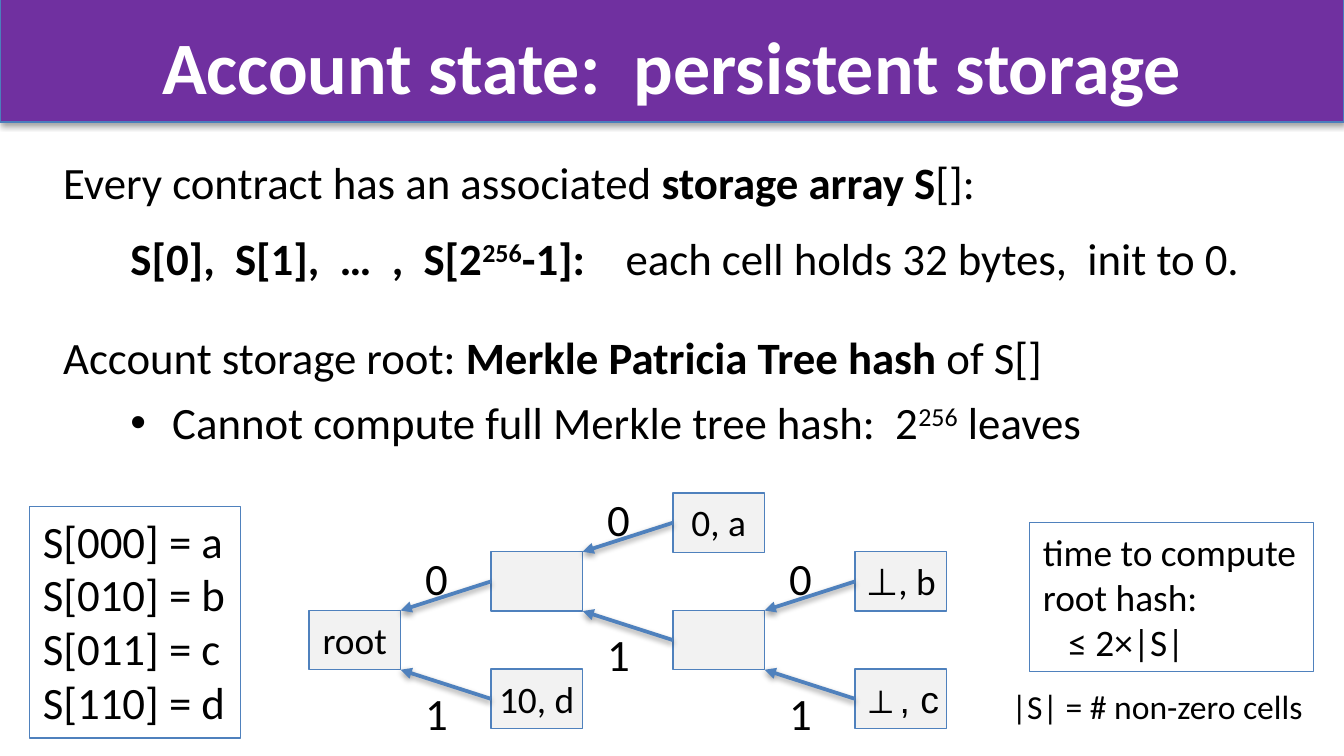
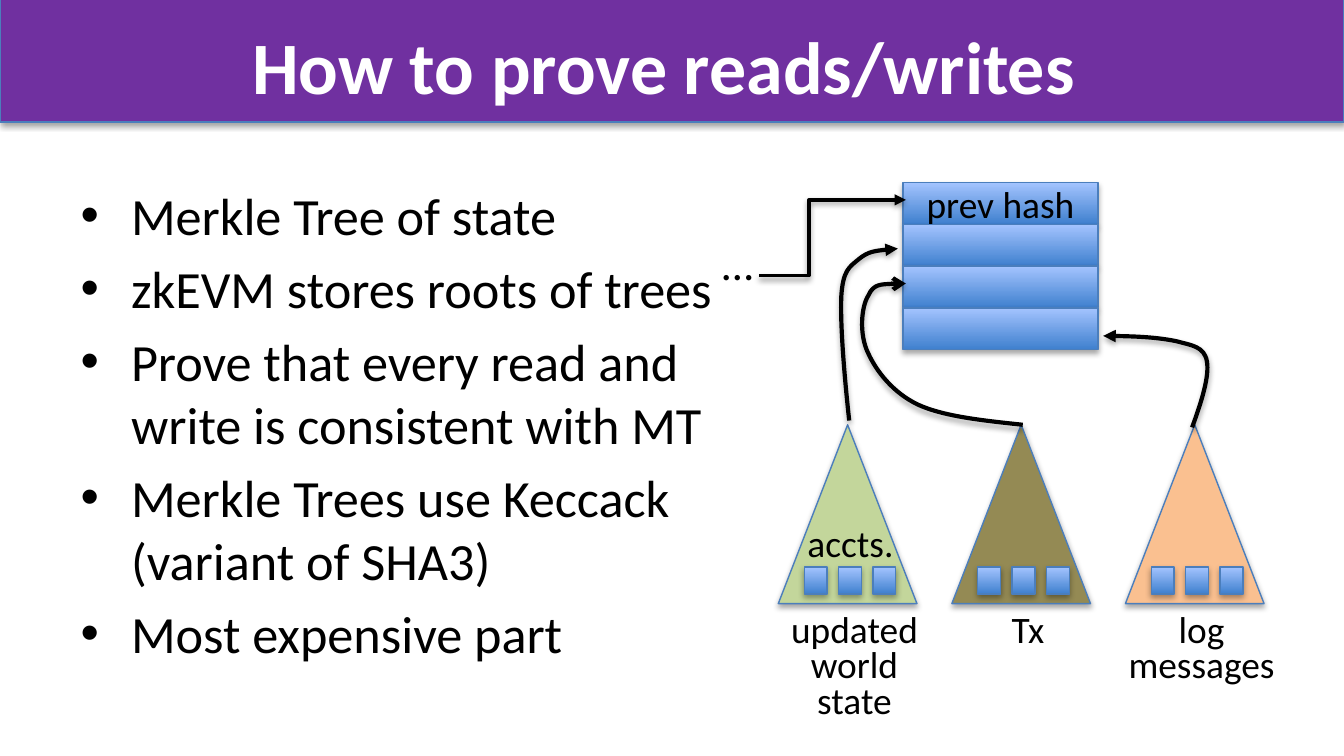
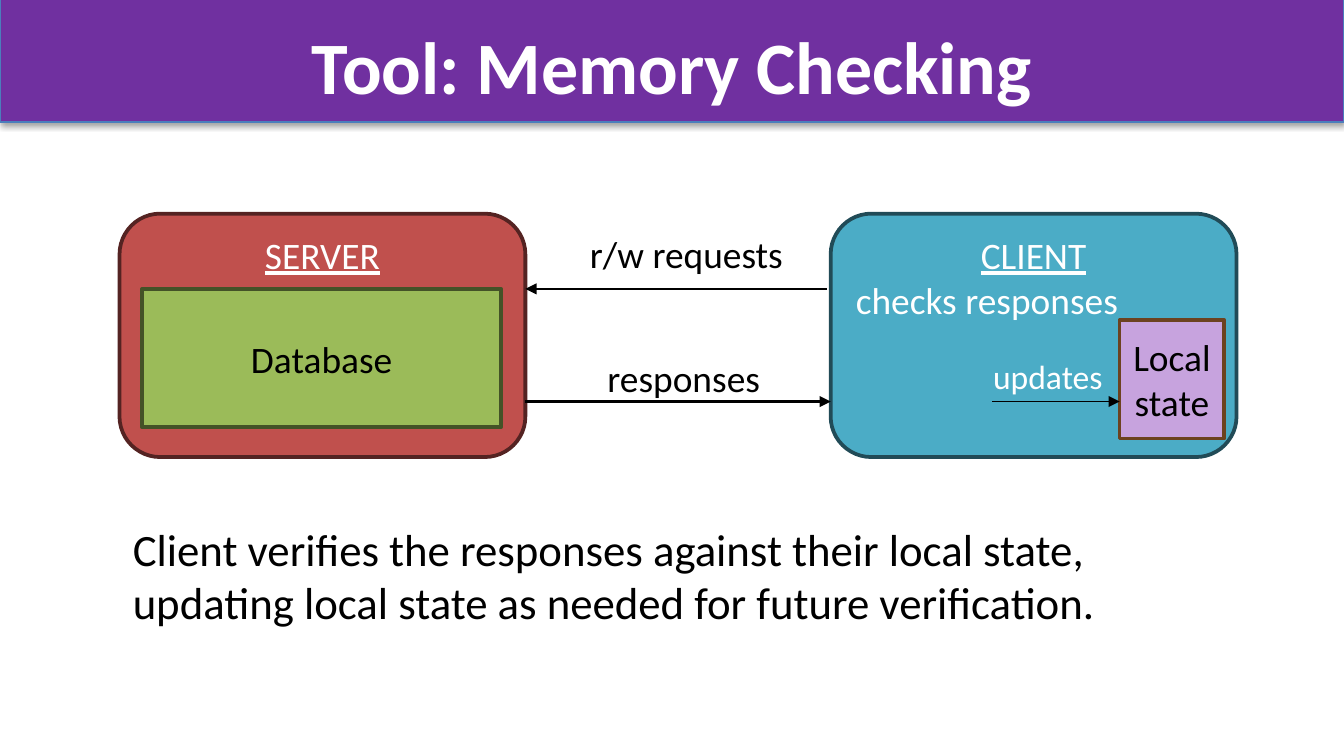
from lxml.etree import SubElement
from pptx import Presentation
from pptx.dml.color import RGBColor
from pptx.enum.shapes import MSO_CONNECTOR as Connector, MSO_SHAPE as Preset
from pptx.enum.text import MSO_ANCHOR as Anchor, MSO_AUTO_SIZE as AutoSize, PP_ALIGN as Align
from pptx.oxml.ns import qn
from pptx.util import Cm, Pt

COLORS = {
    "black": "000000", "white": "FFFFFF", "band": "7030A0", "edge": "4B7EBC",
    "blue": "4F81BD", "node": "F2F2F2", "block_low": "3F80CE", "block_high": "A4C4FF",
    "state": "C3D69B", "transactions": "948A54", "logs": "FAC090",
    "server": "C0504D", "server_edge": "542322", "client": "4BACC6", "client_edge": "214B57",
    "database": "9BBB59", "database_edge": "445227", "local": "C7A3DE", "local_edge": "6C421F",
}
FONT = "Calibri"
TITLE_BOX = (1.27, 0.36, 22.86, 1.73)
BAND_BOX = (0, -0.03, 25.4, 2.34)
SHAPE_SHADOW = (23000, 35000)
LINE_SHADOW = (20000, 38000)


def color(name):
    return RGBColor.from_string(COLORS[name])


def place(shape, box):
    shape.left, shape.top, shape.width, shape.height = map(Cm, box)


def style_run(run, size, ink="black", font=FONT, bold=None):
    run.font.size = Pt(size)
    run.font.name = font
    run.font.color.rgb = color(ink)
    run.font.bold = bold


def write(shape, text, size, ink="black", align=Align.LEFT, anchor=Anchor.TOP,
          wrap=False, font=FONT, bold=None, spacing=None):
    text_frame = shape.text_frame
    text_frame.text = text
    text_frame.word_wrap = wrap
    text_frame.vertical_anchor = anchor
    for paragraph in text_frame.paragraphs:
        paragraph.alignment = align
        paragraph.line_spacing = spacing
        for run in paragraph.runs:
            style_run(run, size, ink, font, bold)


def add_label(slide, box, text, size, **style):
    label = slide.shapes.add_textbox(*map(Cm, box))
    write(label, text, size, **style)
    return label


def add_shadow(effects, shadow):
    distance, alpha = shadow
    outer = SubElement(effects, qn("a:outerShdw"), blurRad="40000", dist=str(distance),
                       dir="5400000", rotWithShape="0")
    ink = SubElement(outer, qn("a:srgbClr"), val=COLORS["black"])
    SubElement(ink, qn("a:alpha"), val=str(alpha))


def finish_shape(shape, fill, edge, width, shadow):
    shape.shadow.inherit = False
    if fill == "gradient":
        shape.fill.gradient()
        shape.fill.gradient_angle = 90
        for stop, name in zip(shape.fill.gradient_stops, ("block_low", "block_high")):
            stop.color.rgb = color(name)
    elif fill:
        shape.fill.solid()
        shape.fill.fore_color.rgb = color(fill)
    else:
        shape.fill.background()
    shape.line.color.rgb = color(edge)
    shape.line.width = Pt(width)
    if shadow:
        add_shadow(shape.element.spPr.find(qn("a:effectLst")), shadow)


def add_box(slide, box, fill=None, edge="edge", width=0.75, preset=Preset.RECTANGLE, shadow=None):
    shape = slide.shapes.add_shape(preset, *map(Cm, box))
    finish_shape(shape, fill, edge, width, shadow)
    return shape


def add_arrowhead(line, end, kind="triangle"):
    SubElement(line._get_or_add_ln(), qn(f"a:{end}End"), type=kind)


def add_arrow(slide, start, end, ink="black", width=1.25, kind=Connector.STRAIGHT,
              arrow_end="tail", shadow=None):
    connector = slide.shapes.add_connector(kind, *map(Cm, (*start, *end)))
    connector.line.color.rgb = color(ink)
    connector.line.width = Pt(width)
    add_arrowhead(connector.line, arrow_end)
    effects = SubElement(connector.element.spPr, qn("a:effectLst"))
    if shadow:
        add_shadow(effects, shadow)
    return connector


def add_curve(slide, points, arrow):
    points = [(Cm(x), Cm(y)) for x, y in points]
    builder = slide.shapes.build_freeform(*points[0])
    builder.add_line_segments(points[1:], close=False)
    shape = builder.convert_to_shape()
    outline = next(shape.element.iter(qn("a:path")))
    segments = outline.findall(qn("a:lnTo"))
    for first in range(0, len(segments), 3):
        curve = SubElement(outline, qn("a:cubicBezTo"))
        for segment in segments[first:first + 3]:
            curve.append(segment[0])
            outline.remove(segment)
    finish_shape(shape, None, "black", 2.25, SHAPE_SHADOW)
    add_arrowhead(shape.line, "tail", arrow)


def add_slide(presentation, layout, title):
    slide = presentation.slides.add_slide(presentation.slide_layouts[layout])
    place(slide.shapes.title, TITLE_BOX)
    write(slide.shapes.title, title, 39.6, ink="white", align=Align.CENTER,
          anchor=Anchor.MIDDLE, bold=True)
    return slide


def add_master_band(presentation, slide):
    band = add_box(slide, BAND_BOX, "band", shadow=SHAPE_SHADOW)
    presentation.slide_master.shapes.element.insert(2, band.element)


def set_indent(paragraph, margin, first=0, bullet=None):
    properties = paragraph._p.get_or_add_pPr()
    properties.set("marL", str(Cm(margin)))
    properties.set("indent", str(Cm(first)))
    if bullet:
        SubElement(properties, qn("a:buFont"), typeface="Arial")
        SubElement(properties, qn("a:buChar"), char=bullet)
    else:
        SubElement(properties, qn("a:buNone"))


def fill_storage_body(body, box):
    place(body, box)
    text_frame = body.text_frame
    text_frame.auto_size = AutoSize.NONE
    lines = [
        ((0,), None, [("Every contract has an associated ", ""), ("storage array S", "b"),
                      ("[]:", "")]),
        ((1.27,), 12.2, [("S[0],  S[1],  …  ,  S[2", "b"), ("256", "b^"), ("-1]:    ", "b"),
                         ("each cell holds 32 bytes,  init to 0.", "")]),
        ((0,), 24.2, [("Account storage root: ", ""), ("Merkle Patricia Tree hash ", "b"),
                      ("of S[]", "")]),
        ((2.06, -0.79, "•"), 6.2, [("Cannot compute full Merkle tree hash:  2", ""),
                                   ("256", "^"), (" leaves", "")]),
    ]
    for number, (indent, space, pieces) in enumerate(lines):
        paragraph = text_frame.add_paragraph() if number else text_frame.paragraphs[0]
        paragraph.level = 1 if len(indent) > 1 else 0
        set_indent(paragraph, *indent)
        if space:
            paragraph.space_before = Pt(space)
        for text, marks in pieces:
            run = paragraph.add_run()
            run.text = text
            style_run(run, 24, bold="b" in marks)
            if "^" in marks:
                run.font._element.set("baseline", "30000")


def add_tree(slide, left, top):
    column_step, row_step, width, height = 3.44, 1.11, 1.73, 1.12
    nodes = {
        "root": (0, 2, "root"), "left": (1, 1, ""), "d": (1, 3, "10, d"),
        "a": (2, 0, "0, a"), "middle": (2, 2, ""),
        "b": (3, 1, "⊥, b"), "c": (3, 3, "⊥, c"),
    }
    shapes, corners = {}, {}
    for name, (column, row, text) in nodes.items():
        x, y = left + column * column_step, top + row * row_step
        shapes[name] = add_box(slide, (x, y, width, height), "node", "blue")
        corners[name] = x, y
        if text:
            write(shapes[name], text, 20, align=Align.CENTER, font="Arial" if name == "c" else FONT)
    for parent, *children in (("root", "left", "d"), ("left", "a", "middle"), ("middle", "b", "c")):
        for bit, child in enumerate(children):
            x, y = corners[parent]
            start = x + width, y + bit * height
            child_x, child_y = corners[child]
            arrow = add_arrow(slide, start, (child_x, child_y + height / 2), "blue", 2,
                              arrow_end="head", shadow=LINE_SHADOW)
            arrow.end_connect(shapes[child], 1)
            label_y = child_y + (0.18 if bit else -0.15)
            add_label(slide, (child_x - 1.5, label_y, 0.94, 1.27), str(bit), 24, align=Align.CENTER)


def add_cost_note(slide, left, top):
    note = add_box(slide, (left + 0.59, top, 5.36, 2.82), edge="blue")
    write(note, "time to compute\vroot hash:\n≤ 2×|S|", 20)
    set_indent(note.text_frame.paragraphs[1], 0.48)
    add_label(slide, (left, top + 2.97, 6.07, 1.02), "|S| = # non-zero cells", 18)


def build_storage_slide(presentation):
    slide = add_slide(presentation, 1, "Account state:  persistent storage")
    add_master_band(presentation, slide)
    fill_storage_body(slide.placeholders[1], (0.94, 2.79, 23.55, 6.07))
    cells = add_box(slide, (0.56, 9.58, 3.99, 4.37), edge="blue")
    write(cells, "S[000] = a\nS[010] = b\nS[011] = c\nS[110] = d", 24)
    add_tree(slide, 5.84, 9.32)
    add_cost_note(slide, 18.87, 9.88)


def add_header_block(slide, left, top):
    height = 0.79
    for row, text in enumerate(("prev hash", "", "", "")):
        shape = add_box(slide, (left, top + row * height, 3.68, height), "gradient",
                        shadow=SHAPE_SHADOW)
        if text:
            write(shape, text, 20, align=Align.CENTER, anchor=Anchor.MIDDLE, wrap=True)


def add_merkle_triangle(slide, left, top, fill, label, label_width):
    width = 2.62
    add_box(slide, (left, top, width, 3.38), fill, preset=Preset.ISOSCELES_TRIANGLE,
            shadow=SHAPE_SHADOW)
    for leaf in range(3):
        add_box(slide, (left + 0.49 + leaf * 0.65, top + 2.69, 0.43, 0.51), "gradient",
                shadow=SHAPE_SHADOW)
    label_height = 0.28 + 0.69 * len(label.splitlines())
    label_left = left + (width - label_width) / 2 + 0.13
    add_label(slide, (label_left, top + 3.46, label_width, label_height), label, 20,
              align=Align.CENTER, spacing=0.8)


def add_block_diagram(slide, left, top):
    add_header_block(slide, left + 3.67, top)
    triangles = (("state", "updated\vworld\vstate", 2.95), ("transactions", "Tx", 1.14),
                 ("logs", "log\vmessages", 3.3))
    for number, triangle in enumerate(triangles):
        add_merkle_triangle(slide, left + 1.31 + number * 3.28, top + 4.58, *triangle)
    add_label(slide, (left + 1.61, top + 6.25, 2.16, 1.12), "accts.", 20)
    state_curve = [
        (2.65, 4.5), (2.55, 3.59), (2.48, 2.67), (2.5, 2.16), (2.53, 1.66), (2.65, 1.6),
        (2.83, 1.45), (3.01, 1.3), (3.29, 1.27), (3.57, 1.25)]
    log_curve = [
        (9.13, 4.63), (9.31, 4.14), (9.46, 3.66), (9.41, 3.38), (9.36, 3.1), (9.13, 3.08),
        (8.83, 3), (8.49, 2.93), (7.99, 2.9), (7.45, 2.9)]
    transaction_curve = [
        (5.93, 4.58), (5.17, 4.5), (4.43, 4.42), (3.95, 4.2), (3.47, 3.97), (3.16, 3.56),
        (3.01, 3.23), (2.83, 2.87), (2.88, 2.34), (3.01, 2.14), (3.11, 1.91), (3.41, 1.91),
        (3.72, 1.91)]
    for points, arrow in ((state_curve, "triangle"), (log_curve, "triangle"),
                          (transaction_curve, "arrow")):
        add_curve(slide, [(left + x, top + y) for x, y in points], arrow)
    elbow = add_arrow(slide, (left + 0.95, top + 1.76), (left + 3.72, top + 0.33), width=2,
                      kind=Connector.ELBOW, shadow=LINE_SHADOW)
    adjustments = next(elbow.element.iter(qn("a:avLst")))
    SubElement(adjustments, qn("a:gd"), name="adj1", fmla="val 34000")
    add_label(slide, (left, top + 0.89, 1.12, 1.27), "…", 24)


def build_proof_slide(presentation):
    slide = add_slide(presentation, 1, "How to prove reads/writes ")
    body = slide.placeholders[1]
    place(body, (1.27, 3.33, 12.47, 10.62))
    write(body, "Merkle Tree of state\nzkEVM stores roots of trees\n"
          "Prove that every read and write is consistent with MT\n"
          "Merkle Trees use Keccack (variant of SHA3)\nMost expensive part", 28, wrap=True)
    body.text_frame.auto_size = AutoSize.NONE
    add_block_diagram(slide, 13.4, 3.45)


def add_party(slide, left, top, name, text):
    party = add_box(slide, (left, top, 7.67, 4.6), name, f"{name}_edge", 2,
                    Preset.ROUNDED_RECTANGLE)
    write(party, text, 20, ink="white", wrap=True)
    heading = party.text_frame.paragraphs[0]
    heading.alignment = Align.CENTER
    heading.runs[0].font.underline = True


def add_store(slide, box, name, text):
    store = add_box(slide, box, name, f"{name}_edge", 2)
    write(store, text, 20, align=Align.CENTER, anchor=Anchor.MIDDLE, wrap=True)


def add_memory_diagram(slide, left, top):
    server_right, client_left = left + 7.67, left + 13.44
    request_y, response_y = top + 1.42, top + 3.55
    add_party(slide, left, top, "server", "SERVER")
    add_party(slide, client_left, top, "client", "CLIENT\nchecks responses")
    add_arrow(slide, (client_left - 0.08, request_y), (server_right, request_y))
    add_arrow(slide, (server_right, response_y), (client_left, response_y))
    add_label(slide, (left + 8.64, top + 0.2, 4.19, 1.12), "r/w requests", 20, wrap=True)
    add_label(slide, (left + 8.97, top + 2.54, 3.43, 1.12), "responses", 20, wrap=True)
    add_store(slide, (left + 0.43, request_y, 6.78, 2.62), "database", "Database")
    add_store(slide, (client_left + 5.46, top + 2.01, 1.98, 2.24), "local", "Local state")
    add_arrow(slide, (client_left + 3.05, response_y), (client_left + 5.46, response_y), width=0.75)
    add_label(slide, (client_left + 2.82, top + 2.56, 2.62, 1.02), "updates", 18, ink="white")


def build_memory_slide(presentation):
    slide = add_slide(presentation, 5, "Tool: Memory Checking")
    add_memory_diagram(slide, 2.26, 4.04)
    add_label(slide, (2.26, 9.73, 20.24, 2.31),
              "Client verifies the responses against their local state,\n"
              "updating local state as needed for future verification.", 24, wrap=True)


def main():
    presentation = Presentation()
    presentation.slide_width = Cm(25.4)
    presentation.slide_height = Cm(14.29)
    build_storage_slide(presentation)
    build_proof_slide(presentation)
    build_memory_slide(presentation)
    presentation.save("out.pptx")


if __name__ == "__main__":
    main()
